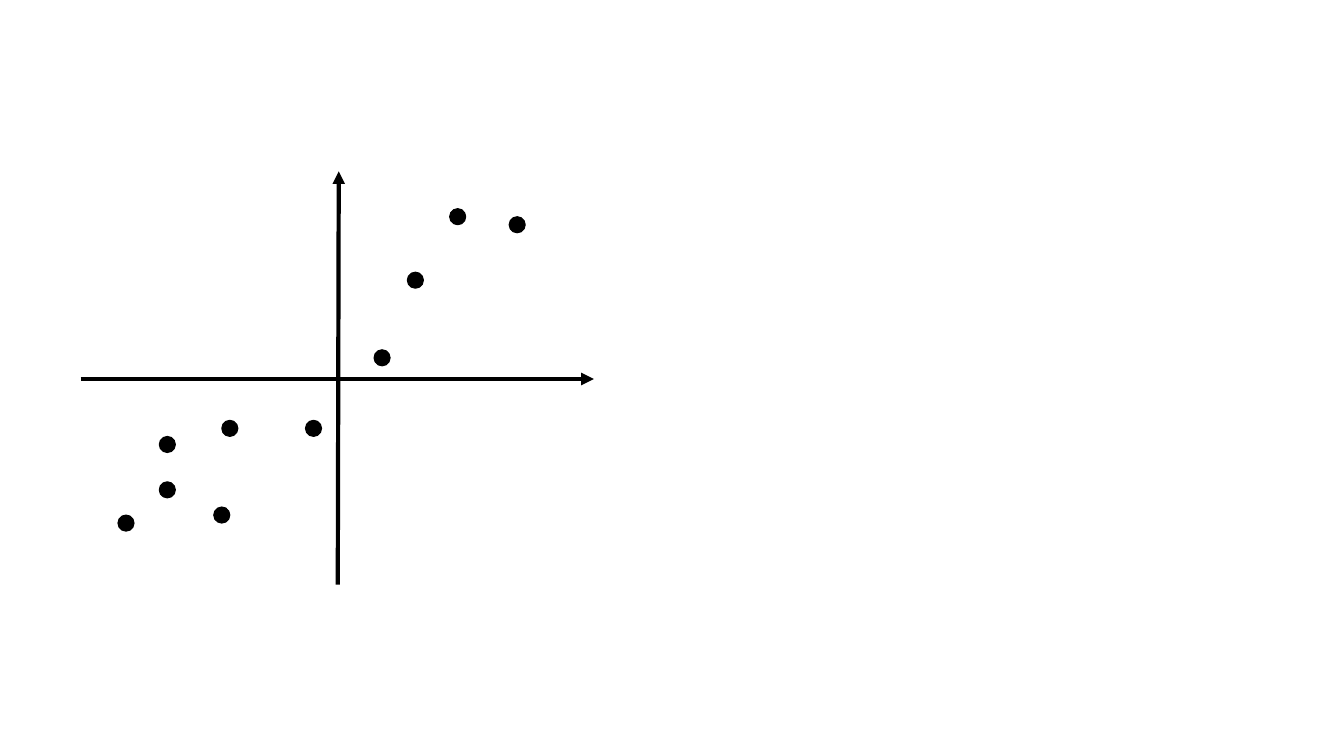
from lxml import etree
from pptx import Presentation
from pptx.dml.color import RGBColor
from pptx.enum.shapes import MSO_CONNECTOR, MSO_SHAPE
from pptx.oxml.ns import qn
from pptx.util import Inches, Pt

STRAIGHT = MSO_CONNECTOR.STRAIGHT
OVAL = MSO_SHAPE.OVAL
BLACK = RGBColor(0, 0, 0)

# Plot coordinates in inches from the origin, y pointing up
AXES = [
    ((0, -2.04), (0.01, 2.06)),
    ((-2.55, 0), (2.54, 0)),
]
POINTS = [
    (-2.10, -1.43), (-0.24, -0.49), (0.44, 0.21), (1.78, 1.53), (-1.15, -1.35),
    (-1.69, -1.10), (-1.69, -0.65), (-1.07, -0.49), (0.77, 0.98), (1.19, 1.61),
]
ORIGIN_X, ORIGIN_Y = 3.35, 3.76
DOT = 0.16


def to_slide(x, y):
    """Convert plot coordinates to a position on the slide."""
    return Inches(ORIGIN_X + x), Inches(ORIGIN_Y - y)


def add_axis(shapes, start, end):
    axis = shapes.add_connector(STRAIGHT, *to_slide(*start), *to_slide(*end))
    axis.line.color.rgb = BLACK
    axis.line.width = Pt(3)
    etree.SubElement(axis.line._get_or_add_ln(), qn("a:tailEnd"), type="triangle")
    etree.SubElement(axis._element.spPr, qn("a:effectLst"))


def add_point(shapes, x, y):
    left, top = to_slide(x - DOT / 2, y + DOT / 2)
    point = shapes.add_shape(OVAL, left, top, Inches(DOT), Inches(DOT))
    point.shadow.inherit = False
    point.fill.solid()
    point.fill.fore_color.rgb = BLACK
    point.line.color.rgb = BLACK
    point.line.width = Pt(0.75)


def main():
    prs = Presentation()
    prs.slide_width, prs.slide_height = Inches(13.33), Inches(7.5)
    slide = prs.slides.add_slide(prs.slide_layouts[6])
    axes = slide.shapes.add_group_shape()
    for start, end in AXES:
        add_axis(axes.shapes, start, end)
    for x, y in POINTS:
        add_point(slide.shapes, x, y)
    prs.save("out.pptx")


if __name__ == "__main__":
    main()
